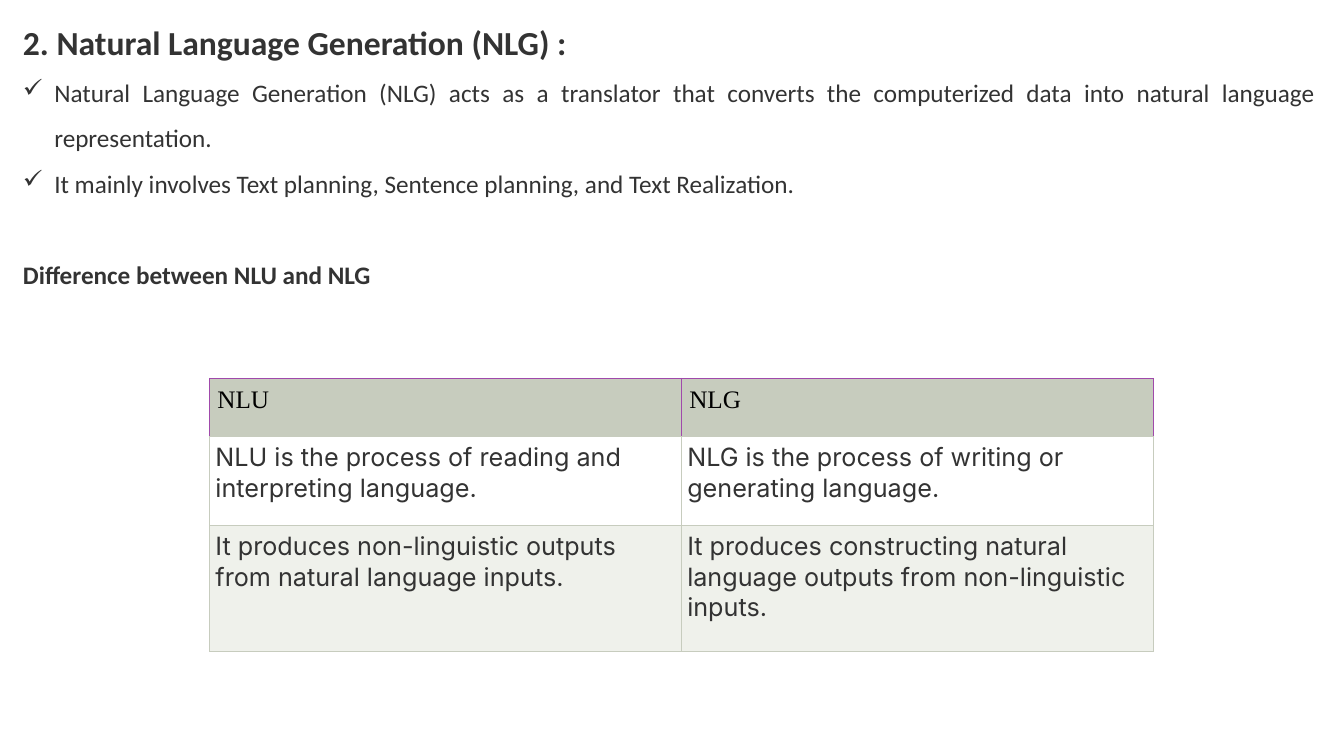
from lxml.etree import SubElement
from pptx import Presentation
from pptx.dml.color import RGBColor
from pptx.enum.text import MSO_AUTO_SIZE, PP_ALIGN
from pptx.oxml.ns import qn
from pptx.util import Cm, Pt

TEXT = "333333"
SAGE = "C7CCBE"
PURPLE = "A049AB"


def color(value):
    return RGBColor.from_string(value)


def add_border(cell, side, value):
    """Draw a thin line on one side (L, R, T or B) of a table cell."""
    properties = cell._tc.get_or_add_tcPr()
    line = SubElement(properties, qn(f"a:ln{side}"), w=str(Pt(0.5)))
    fill = SubElement(line, qn("a:solidFill"))
    SubElement(fill, qn("a:srgbClr"), val=value)


presentation = Presentation()
presentation.slide_width = Cm(33.87)
presentation.slide_height = Cm(19.05)
slide = presentation.slides.add_slide(presentation.slide_layouts[6])

# Heading, bullets and table title: text, size, bold, bullet, space before
lines = [
    ("2. Natural Language Generation (NLG) :", 24, True, False, 0),
    ("Natural Language Generation (NLG) acts as a translator that converts "
     "the computerized data into natural language representation.", 18, False, True, 0),
    ("It mainly involves Text planning, Sentence planning, and Text Realization.",
     18, False, True, 0),
    ("Difference between NLU and NLG", 18, True, False, 33),
]
text_box = slide.shapes.add_textbox(Cm(0.33), Cm(0.43), Cm(33.07), Cm(11.28))
text_frame = text_box.text_frame
text_frame.word_wrap = True
text_frame.auto_size = MSO_AUTO_SIZE.SHAPE_TO_FIT_TEXT
for index, (text, size, bold, bulleted, space_before) in enumerate(lines):
    paragraph = text_frame.add_paragraph() if index else text_frame.paragraphs[0]
    paragraph.text = text
    paragraph.alignment = PP_ALIGN.JUSTIFY
    if index:
        paragraph.line_spacing = 1.5
    if space_before:
        paragraph.space_before = Pt(space_before)
    if bulleted:
        properties = paragraph._p.get_or_add_pPr()
        properties.set("marL", str(Cm(0.79)))
        properties.set("indent", str(-Cm(0.79)))
        SubElement(properties, qn("a:buChar"), char="✓")
    paragraph.font.name = "Calibri"
    paragraph.font.size = Pt(size)
    paragraph.font.bold = bold
    paragraph.font.color.rgb = color(TEXT)

# Comparison table
rows = [
    ("NLU", "NLG"),
    ("NLU is the process of reading and interpreting language.",
     "NLG is the process of writing or generating language."),
    ("It produces non-linguistic outputs from natural language inputs.",
     "It produces constructing natural language outputs from non-linguistic inputs."),
]
row_heights = [1.47, 2.24, 3.18]
row_fills = [SAGE, "FFFFFF", "EFF1EB"]
table = slide.shapes.add_table(
    len(rows), 2, Cm(5.28), Cm(9.53), Cm(23.78), Cm(sum(row_heights))).table
table.first_row = False
table.horz_banding = False
for row_index, texts in enumerate(rows):
    is_header = row_index == 0
    table.rows[row_index].height = Cm(row_heights[row_index])
    for column_index, text in enumerate(texts):
        cell = table.cell(row_index, column_index)
        cell.text = text
        margin = Cm(0.2 if is_header else 0.15)
        cell.margin_left = cell.margin_right = margin
        cell.margin_top = cell.margin_bottom = margin
        for side in "LRTB":
            add_border(cell, side, PURPLE if is_header and side != "B" else SAGE)
        cell.fill.solid()
        cell.fill.fore_color.rgb = color(row_fills[row_index])
        font = cell.text_frame.paragraphs[0].font
        font.name = "Times New Roman" if is_header else "Inter"
        font.size = Pt(18)
        font.color.rgb = color("000000" if is_header else TEXT)

presentation.save("out.pptx")
